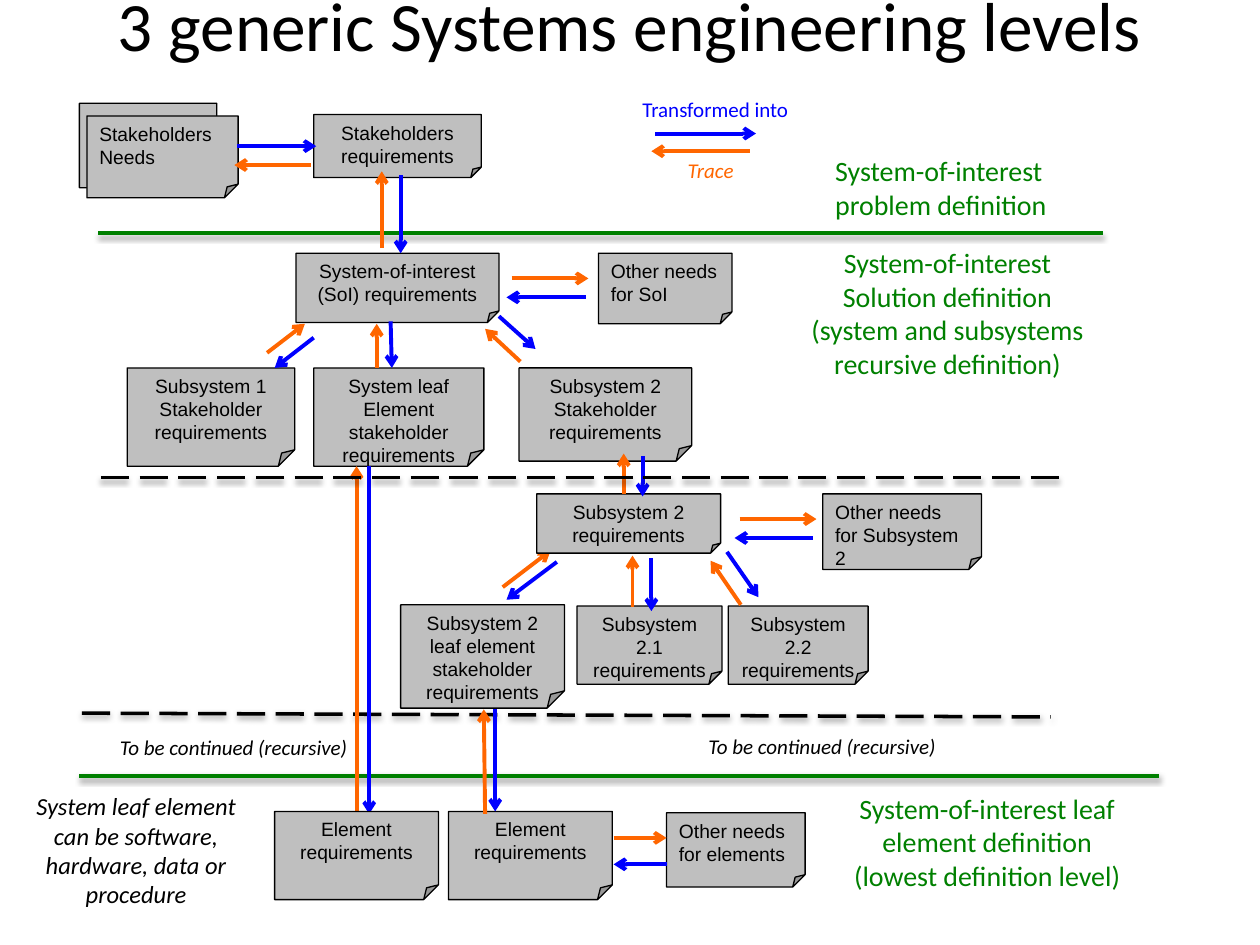
from typing import NamedTuple

from lxml import etree
from pptx import Presentation
from pptx.dml.color import RGBColor
from pptx.enum.dml import MSO_LINE
from pptx.enum.shapes import MSO_CONNECTOR, MSO_SHAPE
from pptx.enum.text import MSO_ANCHOR, PP_ALIGN
from pptx.oxml.ns import qn
from pptx.util import Pt

PX = 9144
LEFT, MID = PP_ALIGN.LEFT, PP_ALIGN.CENTER
TOP, MIDDLE = MSO_ANCHOR.TOP, MSO_ANCHOR.MIDDLE
NOTE = MSO_SHAPE.FOLDED_CORNER
LINE = MSO_CONNECTOR.STRAIGHT
DASH, SOLID = MSO_LINE.LONG_DASH, MSO_LINE.SOLID
BLACK = RGBColor(0x00, 0x00, 0x00)
GRAY = RGBColor(0xBF, 0xBF, 0xBF)
GREEN = RGBColor(0x00, 0x80, 0x00)
BLUE = RGBColor(0x00, 0x00, 0xFF)
ORANGE = RGBColor(0xFF, 0x66, 0x00)


class Box(NamedTuple):
    x: int
    y: int
    w: int
    h: int
    text: str = ""
    align: PP_ALIGN = MID


class Label(NamedTuple):
    x: int
    y: int
    w: int
    h: int
    text: str
    size: float
    color: RGBColor
    align: PP_ALIGN = MID
    italic: bool = False
    wrap: bool = True
    anchor: MSO_ANCHOR = TOP


class Stroke(NamedTuple):
    x1: int
    y1: int
    x2: int
    y2: int
    color: RGBColor
    dash: MSO_LINE = SOLID


LABELS = [
    Label(27, 3, 946, 32, "3 generic Systems engineering levels", 39.6, BLACK, anchor=MIDDLE),
    Label(9, 623, 198, 104, "System leaf element can be software, hardware, data or procedure",
          14, BLACK, italic=True),
    Label(653, 117, 208, 64, "System-of-interest problem definition", 16, GREEN, LEFT),
    Label(600, 190, 304, 145, "System-of-interest\nSolution definition\n"
          "(system and subsystems recursive definition)", 16, GREEN),
    Label(642, 623, 283, 118, "System-of-interest leaf element definition\n"
          "(lowest definition level)", 16, GREEN),
    Label(536, 120, 62, 30, "Trace", 12, ORANGE, LEFT, True, False),
    Label(500, 72, 139, 30, "Transformed into", 12, BLUE, LEFT, False, False),
    Label(31, 578, 309, 30, "To be continued (recursive)", 12, BLACK, italic=True),
    Label(498, 577, 309, 30, "To be continued (recursive)", 12, BLACK, italic=True),
]

BACK = [
    Box(63, 82, 109, 67),
    Box(69, 92, 120, 65, "Stakeholders Needs", LEFT),
    Box(249, 91, 133, 50, "Stakeholders\nrequirements"),
    Box(235, 201, 161, 55, "System-of-interest (SoI) requirements"),
    Box(475, 201, 106, 56, "Other needs for SoI", LEFT),
    Box(101, 292, 133, 78, "Subsystem 1\nStakeholder\nrequirements"),
    Box(249, 292, 135, 78, "System leaf Element stakeholder requirements"),
    Box(412, 292, 137, 74, "Subsystem 2\nStakeholder requirements"),
    Box(653, 392, 126, 60, "Other needs for Subsystem 2", LEFT),
    Box(458, 481, 115, 62, "Subsystem 2.1\nrequirements"),
    Box(578, 481, 111, 62, "Subsystem 2.2 requirements"),
    Box(356, 644, 130, 70, "Element\nrequirements"),
    Box(529, 645, 110, 59, "Other needs for elements", LEFT),
]
FRONT = [
    Box(218, 644, 130, 70, "Element requirements"),
    Box(318, 480, 130, 82, "Subsystem 2 leaf element stakeholder requirements"),
    Box(426, 392, 146, 47, "Subsystem 2\nrequirements"),
]

BOUNDS = [
    Stroke(63, 616, 920, 616, GREEN),
    Stroke(78, 185, 875, 185, GREEN),
    Stroke(65, 566, 834, 569, BLACK, DASH),
]
SPLIT = Stroke(80, 379, 841, 379, BLACK, DASH)

ARROWS = [
    Stroke(595, 120, 517, 120, ORANGE),
    Stroke(520, 106, 600, 106, BLUE),
    Stroke(247, 131, 186, 131, ORANGE),
    Stroke(188, 116, 251, 116, BLUE),
    Stroke(303, 197, 303, 136, ORANGE),
    Stroke(318, 139, 318, 201, BLUE),
    Stroke(406, 221, 467, 221, ORANGE),
    Stroke(465, 236, 402, 236, BLUE),
    Stroke(212, 280, 242, 257, ORANGE),
    Stroke(249, 268, 218, 292, BLUE),
    Stroke(299, 292, 299, 257, ORANGE),
    Stroke(310, 255, 311, 292, BLUE),
    Stroke(413, 287, 385, 261, ORANGE),
    Stroke(396, 251, 425, 277, BLUE),
    Stroke(587, 412, 648, 412, ORANGE),
    Stroke(645, 427, 583, 427, BLUE),
    Stroke(399, 466, 437, 437, ORANGE),
    Stroke(442, 446, 402, 476, BLUE),
    Stroke(502, 482, 502, 441, ORANGE),
    Stroke(517, 443, 517, 485, BLUE),
    Stroke(588, 480, 564, 445, ORANGE),
    Stroke(577, 438, 602, 474, BLUE),
    Stroke(283, 644, 283, 370, ORANGE),
    Stroke(293, 370, 293, 646, BLUE),
    Stroke(385, 646, 384, 563, ORANGE),
    Stroke(393, 494, 393, 644, BLUE),
    Stroke(487, 665, 529, 665, ORANGE),
    Stroke(529, 686, 487, 686, BLUE),
]
LINKS = [
    Stroke(495, 392, 495, 360, ORANGE),
    Stroke(510, 362, 510, 394, BLUE),
]


def write(frame, text: str, font: str, size: float, color: RGBColor,
          align: PP_ALIGN, italic: bool = False) -> None:
    frame.text = text
    for para in frame.paragraphs:
        para.alignment = align
        for run in para.runs:
            run.font.name = font
            run.font.size = Pt(size)
            run.font.color.rgb = color
            run.font.italic = italic


def draw_label(shapes, item: Label) -> None:
    area = shapes.add_textbox(item.x * PX, item.y * PX, item.w * PX, item.h * PX)
    frame = area.text_frame
    frame.word_wrap = item.wrap
    frame.vertical_anchor = item.anchor
    write(frame, item.text, "Calibri", item.size, item.color, item.align, item.italic)


def draw_box(shapes, item: Box) -> None:
    note = shapes.add_shape(NOTE, item.x * PX, item.y * PX, item.w * PX, item.h * PX)
    note.shadow.inherit = False
    note.fill.solid()
    note.fill.fore_color.rgb = GRAY
    note.line.color.rgb = BLACK
    note.line.width = Pt(0.75)
    if item.text:
        frame = note.text_frame
        frame.word_wrap = True
        frame.vertical_anchor = TOP
        write(frame, item.text, "Arial", 11, BLACK, item.align)


def draw_line(shapes, item: Stroke, width: float):
    line = shapes.add_connector(LINE, item.x1 * PX, item.y1 * PX, item.x2 * PX, item.y2 * PX)
    line.line.color.rgb = item.color
    line.line.width = Pt(width)
    line.line.dash_style = item.dash
    props = line._element.spPr
    return props, etree.SubElement(props, qn("a:effectLst"))


def draw_bound(shapes, item: Stroke) -> None:
    _, effect = draw_line(shapes, item, 2)
    shade = etree.SubElement(effect, qn("a:outerShdw"), blurRad="40000", dist="20000",
                             dir="5400000", rotWithShape="0")
    tint = etree.SubElement(shade, qn("a:srgbClr"), val=str(BLACK))
    etree.SubElement(tint, qn("a:alpha"), val="38000")


def draw_arrow(shapes, item: Stroke) -> None:
    props, _ = draw_line(shapes, item, 2.25)
    etree.SubElement(props.find(qn("a:ln")), qn("a:tailEnd"), type="arrow")


def main() -> None:
    deck = Presentation()
    deck.slide_width, deck.slide_height = 1000 * PX, 750 * PX
    shapes = deck.slides.add_slide(deck.slide_layouts[6]).shapes
    steps = [(draw_bound, BOUNDS), (draw_label, LABELS), (draw_box, BACK), (draw_arrow, ARROWS),
             (draw_box, FRONT), (draw_arrow, LINKS), (draw_bound, [SPLIT])]
    for draw, items in steps:
        for item in items:
            draw(shapes, item)
    deck.save("out.pptx")


if __name__ == "__main__":
    main()
